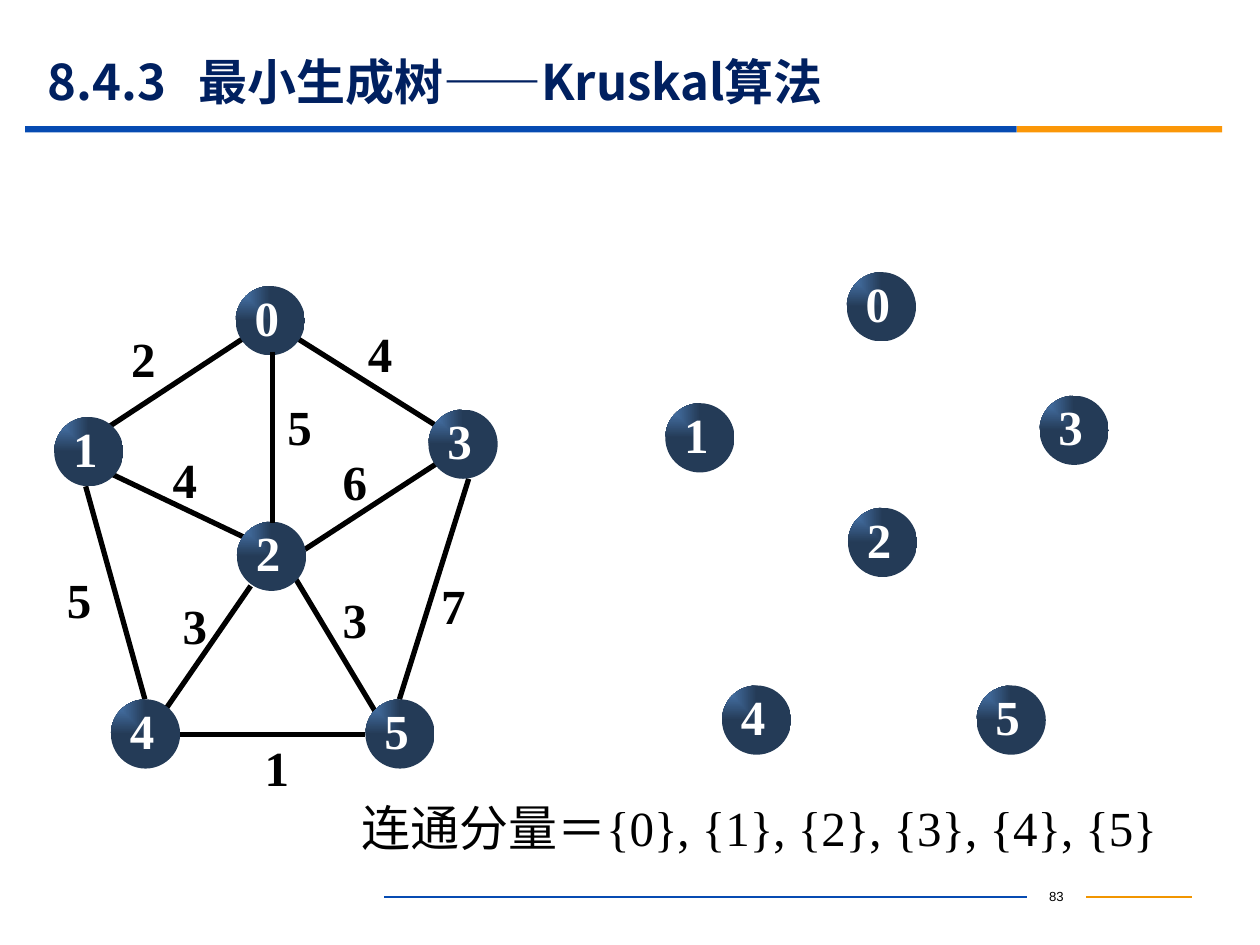
import pptx
import pptx.util
import pptx.dml.color
import pptx.enum.shapes
import pptx.enum.text
import pptx.oxml.ns
from lxml import etree

Inches, Pt = pptx.util.Inches, pptx.util.Pt
RGB = pptx.dml.color.RGBColor
SHAPE = pptx.enum.shapes.MSO_SHAPE
ALIGN = pptx.enum.text.PP_ALIGN
ANCHOR = pptx.enum.text.MSO_ANCHOR
qn = pptx.oxml.ns.qn

BLACK = RGB(0x00, 0x00, 0x00)
WHITE = RGB(0xFF, 0xFF, 0xFF)
NAVY = RGB(0x00, 0x20, 0x60)
BLUE = RGB(0x06, 0x4B, 0xB2)
ORANGE = RGB(0xFB, 0x97, 0x08)
AMBER = RGB(0xF1, 0x95, 0x00)
NODE_LIGHT = RGB(0x4F, 0x81, 0xBD)
NODE_DARK = RGB(0x24, 0x3B, 0x57)

SERIF, SANS, CJK = "Times New Roman", "Arial", "Noto Sans CJK SC"
NODE_SIZE = 0.55
FOREST_OFFSET = (4.85, -0.11)

# Top left corner of each vertex circle
NODES = {"0": (1.87, 2.27), "1": (0.43, 3.31), "4": (0.88, 5.55),
         "3": (3.4, 3.25), "2": (1.88, 4.14), "5": (2.9, 5.55)}

# Edges below and above the vertices: x1, y1, x2, y2
EDGES_BELOW = [(1.94, 2.68, 0.86, 3.39), (3.72, 3.8, 3.17, 5.55),
               (3.01, 5.7, 2.35, 4.6), (0.68, 3.86, 1.15, 5.55),
               (1.99, 4.65, 1.3, 5.65), (3.48, 3.67, 2.42, 4.36),
               (2.35, 2.68, 3.48, 3.39), (1.95, 4.27, 0.86, 3.75)]
EDGES_ABOVE = [(2.16, 2.79, 2.16, 4.15), (1.43, 5.83, 2.9, 5.83)]

# Edge weights: text, left, top
WEIGHTS = [("3", 2.72, 4.68), ("4", 2.92, 2.57), ("2", 1.04, 2.61),
           ("4", 1.37, 3.57), ("6", 2.72, 3.58), ("5", 0.53, 4.52),
           ("7", 3.5, 4.57), ("1", 2.1, 5.85), ("3", 1.45, 4.73),
           ("5", 2.28, 3.15)]


def write(sp, text, size=28, font=SERIF, color=BLACK, bold=False, align=None,
          anchor=ANCHOR.TOP, insets=(0.1, 0.05, 0.1, 0.05), tab=None):
    """Put one formatted paragraph into a shape."""
    tf = sp.text_frame
    tf.word_wrap = True
    tf.vertical_anchor = anchor
    (tf.margin_left, tf.margin_top,
     tf.margin_right, tf.margin_bottom) = [Inches(v) for v in insets]
    p = tf.paragraphs[0]
    if align is not None:
        p.alignment = align
    if tab is not None:
        tabs = etree.SubElement(p._p.get_or_add_pPr(), qn("a:tabLst"))
        etree.SubElement(tabs, qn("a:tab"), pos=str(Inches(tab)), algn="l")
    r = p.add_run()
    r.text = text
    r.font.size, r.font.name, r.font.bold = Pt(size), font, bold
    r.font.color.rgb = color
    etree.SubElement(r._r.get_or_add_rPr(), qn("a:ea"), typeface=CJK)


class Deck:
    def __init__(self):
        self.prs = pptx.Presentation()
        self.prs.slide_width, self.prs.slide_height = Inches(10), Inches(7.5)
        self.s = self.prs.slides.add_slide(self.prs.slide_layouts[6])

    def text(self, text, x, y, w, h, shapes=None, **fmt):
        shapes = self.s.shapes if shapes is None else shapes
        sp = shapes.add_textbox(Inches(x), Inches(y), Inches(w), Inches(h))
        write(sp, text, **fmt)

    def bar(self, x, y, w, h, color):
        sp = self.s.shapes.add_shape(SHAPE.RECTANGLE, Inches(x), Inches(y),
                                     Inches(w), Inches(h))
        sp.shadow.inherit = False
        sp.fill.solid()
        sp.fill.fore_color.rgb = color
        sp.line.fill.background()

    def line(self, x1, y1, x2, y2, color=BLACK, width=3):
        cn = self.s.shapes.add_connector(
            pptx.enum.shapes.MSO_CONNECTOR.STRAIGHT,
            Inches(x1), Inches(y1), Inches(x2), Inches(y2))
        cn.line.color.rgb = color
        cn.line.width = Pt(width)
        etree.SubElement(cn._element.spPr, qn("a:effectLst"))

    def node(self, label, x, y):
        """A shaded circle grouped with its label."""
        shapes = self.s.shapes.add_group_shape().shapes
        sp = shapes.add_shape(SHAPE.OVAL, Inches(x), Inches(y),
                              Inches(NODE_SIZE), Inches(NODE_SIZE))
        sp.shadow.inherit = False
        sp.line.fill.background()
        sp.fill.gradient()
        for stop, color in zip(sp.fill.gradient_stops, (NODE_LIGHT, NODE_DARK)):
            stop.color.rgb = color
        # Spread the gradient from the top left corner
        grad = sp._element.spPr.find(qn("a:gradFill"))
        grad.remove(grad.find(qn("a:lin")))
        spread = etree.SubElement(grad, qn("a:path"), {"path": "rect"})
        etree.SubElement(spread, qn("a:fillToRect"), r="100000", b="100000")
        self.text(label, x + 0.07, y - 0.05, 0.51, 0.65, shapes=shapes,
                  color=WHITE, bold=True, align=ALIGN.JUSTIFY,
                  insets=(0.08, 0.06, 0, 0.01))


def main():
    deck = Deck()

    # Footer and title rule
    deck.text("83", 8.15, 6.99, 0.47, 0.25, size=7.5, font=SANS,
              align=ALIGN.CENTER, anchor=ANCHOR.MIDDLE)
    deck.line(8.62, 7.12, 9.46, 7.12, AMBER, 0.75)
    deck.line(3.05, 7.12, 8.15, 7.12, BLUE, 0.75)
    deck.bar(0.2, 1, 7.87, 0.05, BLUE)
    deck.bar(8.07, 1, 1.63, 0.05, ORANGE)

    # Title and connected components
    deck.text("8.4.3\t最小生成树——Kruskal算法", 0.28, 0.43, 9, 0.43, font=CJK,
              color=NAVY, bold=True, anchor=ANCHOR.MIDDLE, tab=1.2)
    deck.text("连通分量＝{0}, {1}, {2}, {3}, {4}, {5}", 2.77, 6.28, 6.99, 0.57)

    # Weighted graph
    for edge in EDGES_BELOW:
        deck.line(*edge)
    for weight, x, y in WEIGHTS:
        deck.text(weight, x, y, 0.45, 0.6, bold=True, align=ALIGN.JUSTIFY,
                  insets=(0, 0, 0, 0))
    for label, (x, y) in NODES.items():
        deck.node(label, x, y)
    for edge in EDGES_ABOVE:
        deck.line(*edge)

    # Starting forest: the same vertices without edges
    dx, dy = FOREST_OFFSET
    for label, (x, y) in NODES.items():
        deck.node(label, x + dx, y + dy)

    deck.prs.save("out.pptx")


if __name__ == "__main__":
    main()
